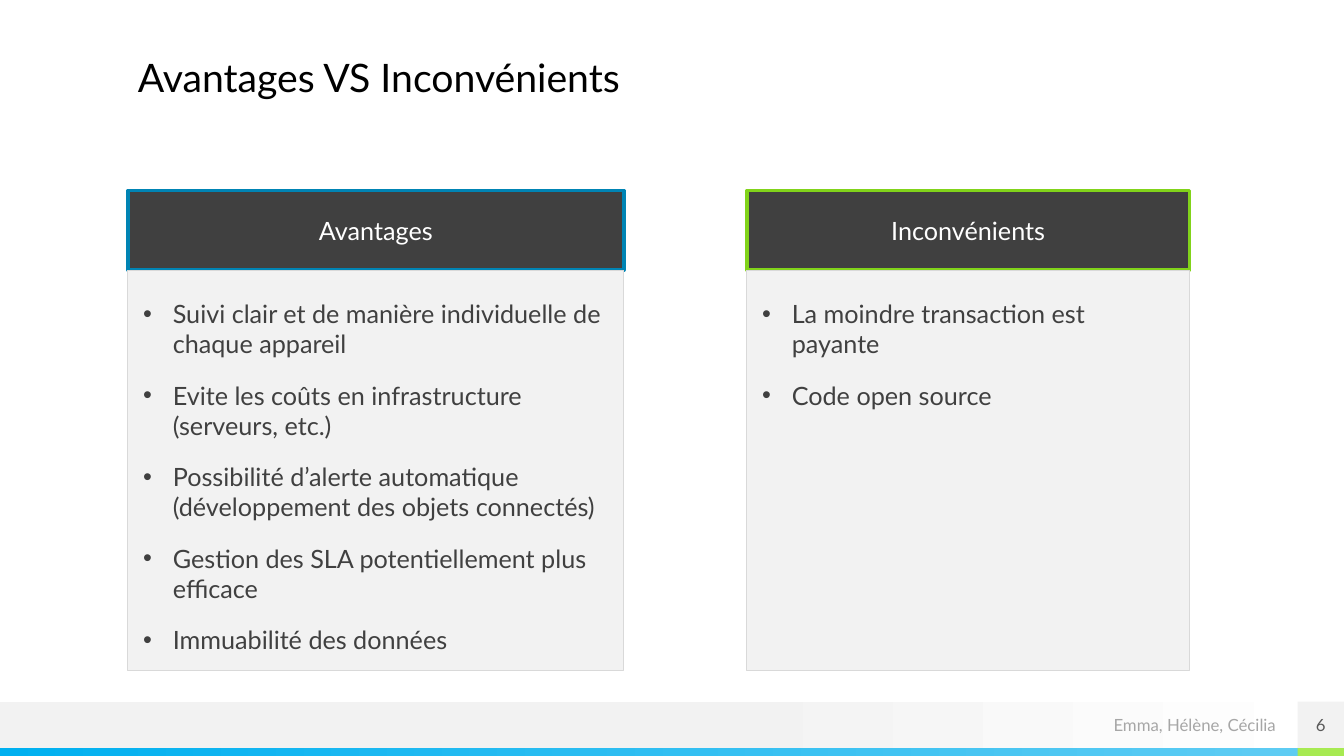
"""Build a slide that sets out advantages and drawbacks in two columns."""
from lxml import etree
from pptx import Presentation
from pptx import util as u
from pptx.dml.color import RGBColor
from pptx.enum import shapes, text
from pptx.oxml import ns

TITLE = "Avantages VS Inconvénients"
AUTHORS = "Emma, Hélène, Cécilia"
PAGE_NUMBER = "6"

BLACK = RGBColor(0x00, 0x00, 0x00)
WHITE = RGBColor(0xFF, 0xFF, 0xFF)
CHARCOAL = RGBColor(0x40, 0x40, 0x40)
DARK_GREY = RGBColor(0x59, 0x59, 0x59)
MID_GREY = RGBColor(0xA6, 0xA6, 0xA6)
BORDER_GREY = RGBColor(0xD9, 0xD9, 0xD9)
PALE_GREY = RGBColor(0xF2, 0xF2, 0xF2)
BLUE = RGBColor(0x00, 0x84, 0xB4)
BRIGHT_BLUE = RGBColor(0x00, 0xB0, 0xF0)
LIGHT_BLUE = RGBColor(0x5E, 0xCC, 0xF3)
GREEN = RGBColor(0x81, 0xD3, 0x1A)
LIGHT_GREEN = RGBColor(0xA7, 0xEA, 0x52)

COLUMNS = [
    {
        "heading": "Avantages", "left": 91.4, "width": 354.2, "accent": BLUE,
        "points": [
            "Suivi clair et de manière individuelle de chaque appareil",
            "Evite les coûts en infrastructure (serveurs, etc.)",
            "Possibilité d’alerte automatique (développement des objets connectés)",
            "Gestion des SLA potentiellement plus efficace",
            "Immuabilité des données",
        ],
    },
    {
        "heading": "Inconvénients", "left": 533.5, "width": 316.1, "accent": GREEN,
        "points": ["La moindre transaction est payante", "Code open source"],
    },
]

SLIDE_WIDTH, SLIDE_HEIGHT = 960, 540
HEADING_TOP, HEADING_HEIGHT, BODY_HEIGHT = 136.1, 56.9, 285.8
FOOTER_HEIGHT, STRIPE_HEIGHT = 33.1, 5.8
BULLET_INDENT = 21.25
FONT = "Lato"


def add_bullet(paragraph, color):
    """Give the paragraph a hanging round bullet."""
    properties = paragraph._p.get_or_add_pPr()
    properties.set("marL", str(u.Pt(BULLET_INDENT)))
    properties.set("indent", str(-u.Pt(BULLET_INDENT)))
    bullet_color = etree.SubElement(properties, ns.qn("a:buClr"))
    etree.SubElement(bullet_color, ns.qn("a:srgbClr"), val=str(color))
    etree.SubElement(properties, ns.qn("a:buFont"), typeface="Arial")
    etree.SubElement(properties, ns.qn("a:buChar"), char="•")


def write(shape, lines, size=18, color=CHARCOAL, align=text.PP_ALIGN.LEFT,
          anchor=text.MSO_ANCHOR.MIDDLE, insets=(0, 0, 0, 0),
          before=0, after=0, bullets=False):
    """Fill the shape with one formatted paragraph per line."""
    frame = shape.text_frame
    frame.word_wrap = True
    frame.vertical_anchor = anchor
    (frame.margin_left, frame.margin_top,
     frame.margin_right, frame.margin_bottom) = map(u.Pt, insets)
    for index, line in enumerate(lines):
        paragraph = frame.add_paragraph() if index else frame.paragraphs[0]
        paragraph.alignment = align
        paragraph.space_before, paragraph.space_after = u.Pt(before), u.Pt(after)
        if bullets:
            add_bullet(paragraph, color)
        run = paragraph.add_run()
        run.text = line
        run.font.name, run.font.size = FONT, u.Pt(size)
        run.font.color.rgb = color


def add_box(slide, bounds, fill=None, gradient=None, line=None, line_width=0.75):
    """Add a rectangle with a plain or left-to-right gradient fill."""
    shape = slide.shapes.add_shape(shapes.MSO_SHAPE.RECTANGLE, *map(u.Pt, bounds))
    shape.shadow.inherit = False
    if gradient:
        shape.fill.gradient()
        shape.fill.gradient_angle = 0
        for stop, (position, color) in zip(shape.fill.gradient_stops, gradient):
            stop.position, stop.color.rgb = position, color
    else:
        shape.fill.solid()
        shape.fill.fore_color.rgb = fill
    if line is None:
        shape.line.fill.background()
    else:
        shape.line.color.rgb, shape.line.width = line, u.Pt(line_width)
    return shape


def add_footer(slide):
    """Add the footer band, its coloured stripe, the authors and the page number."""
    stripe_top = SLIDE_HEIGHT - STRIPE_HEIGHT
    band_top = stripe_top - FOOTER_HEIGHT
    corner_left = SLIDE_WIDTH - FOOTER_HEIGHT
    add_box(slide, (0, band_top, SLIDE_WIDTH, FOOTER_HEIGHT),
            gradient=[(0.53, PALE_GREY), (1, WHITE)])
    add_box(slide, (0, stripe_top, corner_left, STRIPE_HEIGHT),
            gradient=[(0, BRIGHT_BLUE), (1, LIGHT_BLUE)])
    add_box(slide, (corner_left, stripe_top, FOOTER_HEIGHT, STRIPE_HEIGHT), LIGHT_GREEN)
    authors = slide.shapes.add_textbox(
        *map(u.Pt, (750.2, band_top, 161.3, FOOTER_HEIGHT + 0.7)))
    write(authors, [AUTHORS], size=12, color=MID_GREY, align=text.PP_ALIGN.RIGHT)
    page = add_box(slide, (corner_left, band_top, FOOTER_HEIGHT, FOOTER_HEIGHT), PALE_GREY)
    write(page, [PAGE_NUMBER], size=12, color=DARK_GREY, align=text.PP_ALIGN.CENTER)


def add_column(slide, column):
    """Add a heading box with its list of points below."""
    left, width = column["left"], column["width"]
    heading = add_box(slide, (left, HEADING_TOP, width, HEADING_HEIGHT),
                      CHARCOAL, line=column["accent"], line_width=2.5)
    write(heading, [column["heading"]], color=WHITE, align=text.PP_ALIGN.CENTER,
          insets=(8.6, 2.9, 8.6, 2.9), before=10, after=5)
    body = add_box(slide, (left, HEADING_TOP + HEADING_HEIGHT, width, BODY_HEIGHT),
                   PALE_GREY, line=BORDER_GREY)
    write(body, column["points"], anchor=text.MSO_ANCHOR.TOP,
          insets=(10.8, 20.2, 10.8, 0), before=10, after=5, bullets=True)


def main():
    """Assemble and save the slide."""
    presentation = Presentation()
    presentation.slide_width = u.Pt(SLIDE_WIDTH)
    presentation.slide_height = u.Pt(SLIDE_HEIGHT)
    slide = presentation.slides.add_slide(presentation.slide_layouts[6])
    add_footer(slide)
    for column in COLUMNS:
        add_column(slide, column)
    title = slide.shapes.add_textbox(*map(u.Pt, (91.4, 34.6, 378, 41)))
    write(title, [TITLE], size=28, color=BLACK, anchor=text.MSO_ANCHOR.TOP,
          insets=(7.2, 3.6, 7.2, 3.6))
    presentation.save("out.pptx")


if __name__ == "__main__":
    main()
